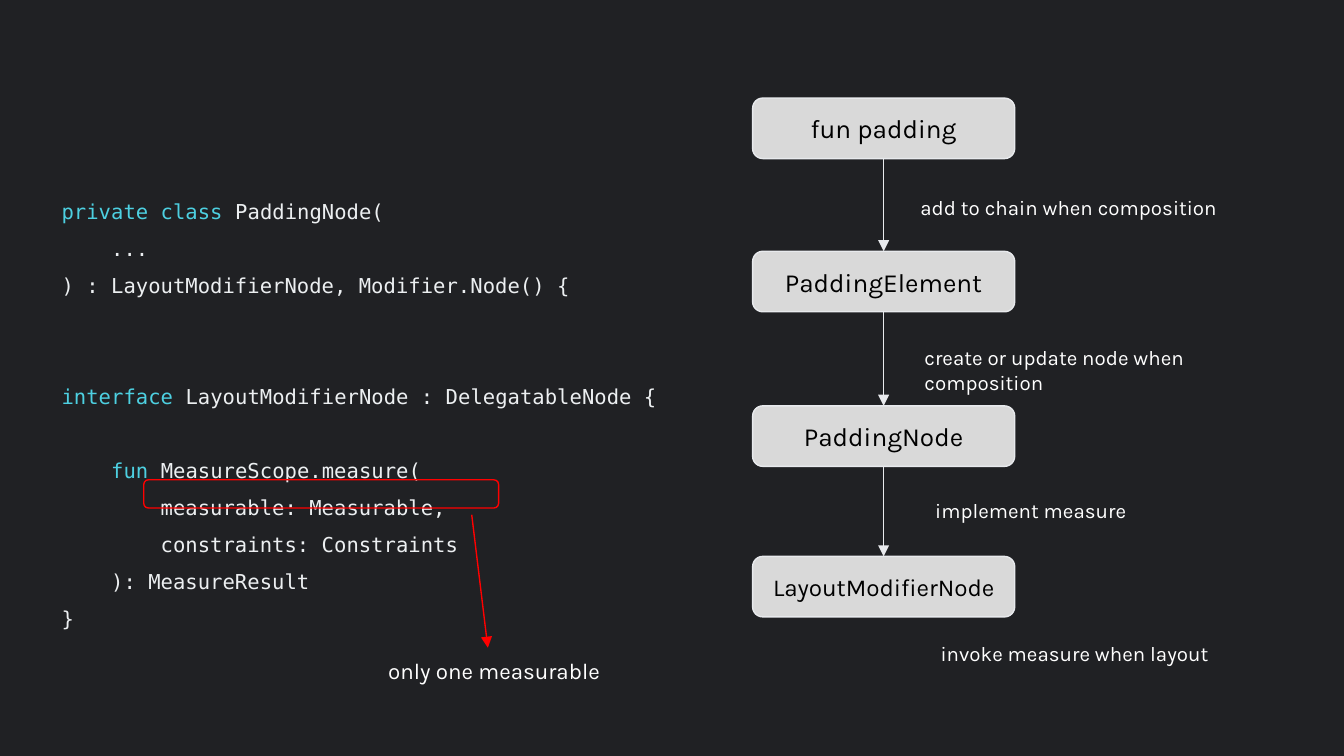
from pptx import Presentation
from pptx.dml.color import RGBColor
from pptx.enum.shapes import MSO_CONNECTOR, MSO_SHAPE
from pptx.enum.text import MSO_ANCHOR, MSO_AUTO_SIZE, PP_ALIGN
from pptx.oxml.ns import qn
from pptx.util import Inches, Pt
from lxml.etree import SubElement

BACKGROUND = RGBColor(0x20, 0x21, 0x24)
KEYWORD = RGBColor(0x4D, 0xD0, 0xE1)
CODE = RGBColor(0xEC, 0xEF, 0xF1)
BOX_FILL = RGBColor(0xD9, 0xD9, 0xD9)
BOX_LINE = RGBColor(0xE8, 0xEA, 0xED)
BLACK = RGBColor(0, 0, 0)
WHITE = RGBColor(0xFF, 0xFF, 0xFF)
RED = RGBColor(0xFF, 0, 0)
CODE_FONT, LABEL_FONT = "DejaVu Sans Mono", "Karla"
LINE_PITCH = 19.8  # points from one code line to the next
SLIDE_WIDTH = Inches(10)
SLIDE_HEIGHT = SLIDE_WIDTH * 9 // 16

# (empty lines above, runs of text and colour)
CODE_LINES = [
    (0, [("private class", KEYWORD), (" PaddingNode(", CODE)]),
    (0, [("    ...", CODE)]),
    (0, [(") : LayoutModifierNode, Modifier.Node() {", CODE)]),
    (2, [("interface", KEYWORD), (" LayoutModifierNode : DelegatableNode {", CODE)]),
    (1, [("    ", CODE), ("fun", KEYWORD), (" MeasureScope.measure(", CODE)]),
    (0, [("        measurable: Measurable,", CODE)]),
    (0, [("        constraints: Constraints", CODE)]),
    (0, [("    ): MeasureResult", CODE)]),
    (0, [("}", CODE)]),
]
# (step, text size, top)
STEPS = [("fun padding", 14, 0.73), ("PaddingElement", 14, 1.87),
         ("PaddingNode", 14, 3.02), ("LayoutModifierNode", 13, 4.14)]
STEP_LEFT, STEP_WIDTH, STEP_HEIGHT = 5.6, 1.95, 0.45
# (note, left, top, height)
NOTES = [
    ("add to chain when composition", 6.75, 1.36, 0.39),
    ("create or update node when composition", 6.78, 2.47, 0.57),
    ("implement measure", 6.86, 3.61, 0.39),
    ("invoke measure when layout", 6.9, 4.68, 0.39),
]
NOTE_WIDTH = 2.59


def add_run(paragraph, text, font, size, color):
    run = paragraph.add_run()
    run.text = text
    run.font.name, run.font.size = font, Pt(size)
    run.font.color.rgb = color


def set_margins(frame):
    frame.word_wrap = True
    frame.margin_left = frame.margin_right = Inches(0.1)
    frame.margin_top = frame.margin_bottom = Inches(0.1)


def add_text_frame(slide, *box):
    frame = slide.shapes.add_textbox(*map(Inches, box)).text_frame
    set_margins(frame)
    frame.auto_size = MSO_AUTO_SIZE.SHAPE_TO_FIT_TEXT
    return frame


def add_rounded_box(slide, box, line_color):
    shape = slide.shapes.add_shape(MSO_SHAPE.ROUNDED_RECTANGLE, *map(Inches, box))
    shape.shadow.inherit = False
    shape.fill.background()
    shape.line.color.rgb, shape.line.width = line_color, Pt(0.75)
    return shape


def add_arrow(slide, color, start=(0, 0), end=(0, 0)):
    arrow = slide.shapes.add_connector(
        MSO_CONNECTOR.STRAIGHT, *map(Inches, (*start, *end)))
    arrow.line.color.rgb, arrow.line.width = color, Pt(0.75)
    SubElement(arrow.line._get_or_add_ln(), qn("a:tailEnd"), type="triangle")
    SubElement(arrow._element.spPr, qn("a:effectLst"))
    return arrow


def add_code(slide):
    frame = add_text_frame(slide, 0.36, 1.29, 9.51, 3.72)
    for index, (empty_lines, runs) in enumerate(CODE_LINES):
        paragraph = frame.add_paragraph() if index else frame.paragraphs[0]
        paragraph.line_spacing = 1.5
        if empty_lines:
            paragraph.space_before = Pt(empty_lines * LINE_PITCH)
        for text, color in runs:
            add_run(paragraph, text, CODE_FONT, 11, color)


def add_step(slide, text, size, top):
    step = add_rounded_box(slide, (STEP_LEFT, top, STEP_WIDTH, STEP_HEIGHT), BOX_LINE)
    step.fill.solid()
    step.fill.fore_color.rgb = BOX_FILL
    set_margins(step.text_frame)
    step.text_frame.vertical_anchor = MSO_ANCHOR.MIDDLE
    paragraph = step.text_frame.paragraphs[0]
    paragraph.alignment = PP_ALIGN.CENTER
    add_run(paragraph, text, LABEL_FONT, size, BLACK)
    return step


def add_flow(slide):
    steps = [add_step(slide, *step) for step in STEPS]
    for upper, lower in zip(steps, steps[1:]):
        arrow = add_arrow(slide, BOX_LINE)
        arrow.begin_connect(upper, 2)  # bottom middle
        arrow.end_connect(lower, 0)  # top middle
    for text, left, top, height in NOTES:
        frame = add_text_frame(slide, left, top, NOTE_WIDTH, height)
        add_run(frame.paragraphs[0], text, LABEL_FONT, 11, WHITE)


def add_callout(slide):
    paragraph = add_text_frame(slide, 2.79, 4.76, 2.26, 0.4).paragraphs[0]
    paragraph.line_spacing = 1.15
    add_run(paragraph, "only one measurable", LABEL_FONT, 12, WHITE)
    add_rounded_box(slide, (1.07, 3.57, 2.64, 0.21), RED)
    add_arrow(slide, RED, (3.51, 3.83), (3.63, 4.82))


def main():
    presentation = Presentation()
    presentation.slide_width = SLIDE_WIDTH
    presentation.slide_height = SLIDE_HEIGHT
    slide = presentation.slides.add_slide(presentation.slide_layouts[6])
    slide.background.fill.solid()
    slide.background.fill.fore_color.rgb = BACKGROUND
    add_code(slide)
    add_flow(slide)
    add_callout(slide)
    presentation.save("out.pptx")


if __name__ == "__main__":
    main()
